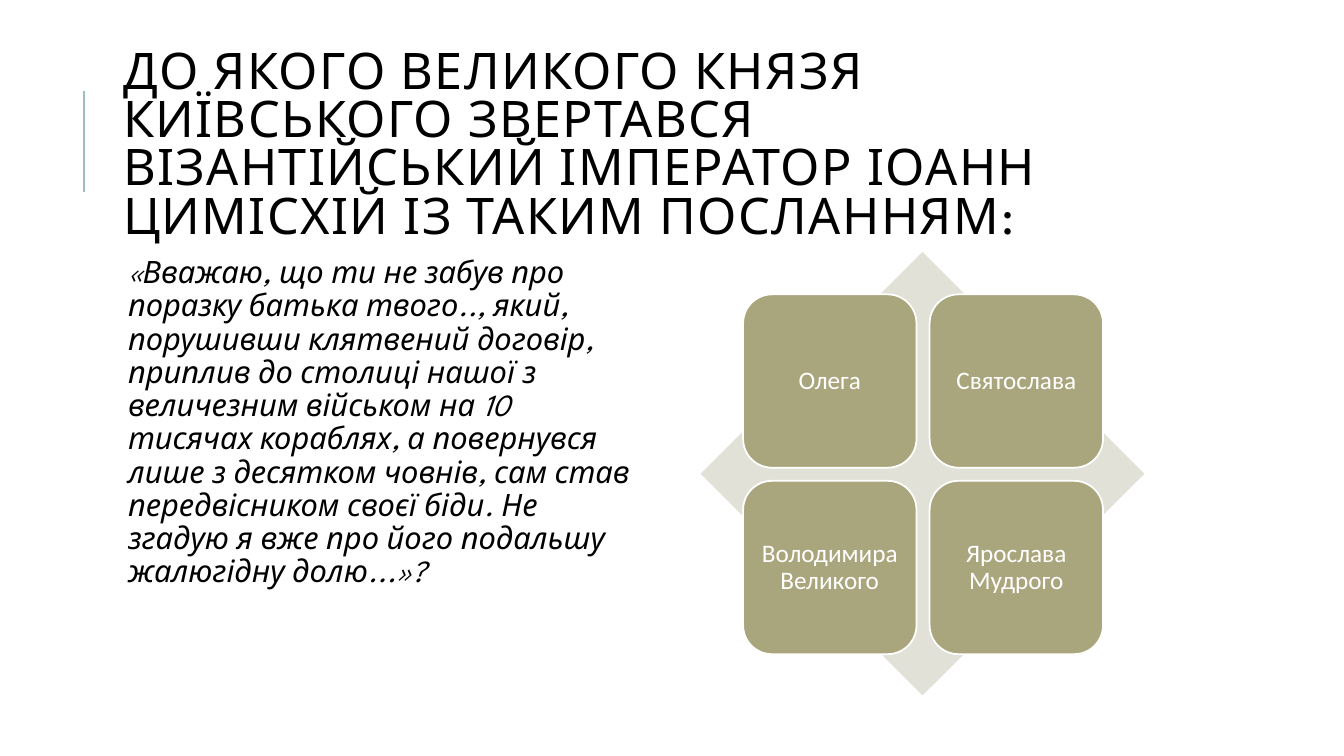
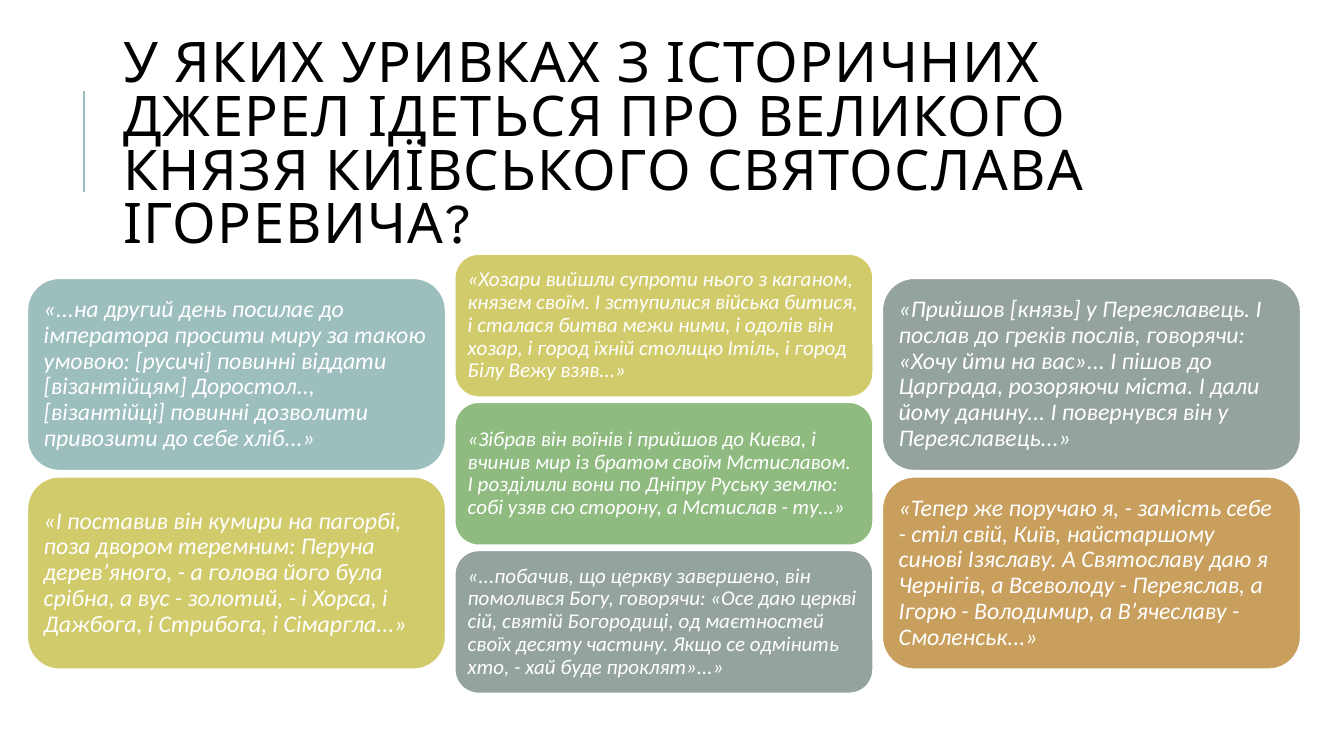
from pptx import Presentation
from pptx.dml.color import RGBColor
from pptx.enum.shapes import MSO_CONNECTOR, MSO_SHAPE as Form
from pptx.enum.text import MSO_ANCHOR as Anchor, MSO_AUTO_SIZE as Fit, PP_ALIGN as Align
from pptx.oxml.ns import qn
from pptx.util import Inches, Pt
from lxml.etree import SubElement

BLACK = RGBColor(0x00, 0x00, 0x00)
WHITE = RGBColor(0xFF, 0xFF, 0xFF)
TEAL = RGBColor(0x9C, 0xBE, 0xBD)
OLIVE = RGBColor(0xA9, 0xA5, 0x7C)
PALE = RGBColor(0xE2, 0xE1, 0xD7)
GRAY = RGBColor(0x95, 0xA3, 0x9D)
OCHRE = RGBColor(0xC8, 0x9F, 0x5D)
LIME = RGBColor(0xD2, 0xCB, 0x6C)
GREEN = RGBColor(0x8F, 0xBB, 0x80)

QUOTE = "«Вважаю, що ти не забув про поразку батька твого.., який, порушивши клятвений договір, приплив до столиці нашої з величезним військом на 10 тисячах кораблях, а повернувся лише з десятком човнів, сам став передвісником своєї біди. Не згадую я вже про його подальшу жалюгідну долю...»?"

NAMES = ["Олега", "Святослава", "Володимира Великого", "Ярослава Мудрого"]

SIDE = {"top": 2.76, "high": 1.91, "step": 1.97, "size": 17, "pad": 0.07}
MID = {"top": 2.52, "high": 1.42, "step": 1.47, "size": 15, "pad": 0.06}

COLUMNS = [
    (SIDE, [
        (TEAL, "«...на другий день посилає до імператора просити миру за такою умовою: [русичі] повинні віддати [візантійцям] Доростол.., [візантійці] повинні дозволити привозити до себе хліб...»"),
        (LIME, "«І поставив він кумири на пагорбі, поза двором теремним: Перуна дерев’яного, - а голова його була срібна, а вус - золотий, - і Хорса, і Дажбога, і Стрибога, і Сімаргла...»"),
    ]),
    (MID, [
        (LIME, "«Хозари вийшли супроти нього з каганом, князем своїм. І зступилися війська битися, і сталася битва межи ними, і одолів він хозар, і город їхній столицю Ітіль, і город Білу Вежу взяв...»"),
        (GREEN, "«Зібрав він воїнів і прийшов до Києва, і вчинив мир із братом своїм Мстиславом. І розділили вони по Дніпру Руську землю: собі узяв сю сторону, а Мстислав - ту...»"),
        (GRAY, "«...побачив, що церкву завершено, він помолився Богу, говорячи: «Осе даю церкві сій, святій Богородиці, од маєтностей своїх десяту частину. Якщо се одмінить хто, - хай буде проклят»...»"),
    ]),
    (SIDE, [
        (GRAY, "«Прийшов [князь] у Переяславець. І послав до греків послів, говорячи: «Хочу йти на вас»... І пішов до Царграда, розоряючи міста. І дали йому данину... І повернувся він у Переяславець...»"),
        (OCHRE, "«Тепер же поручаю я, - замість себе - стіл свій, Київ, найстаршому синові Ізяславу. А Святославу даю я Чернігів, а Всеволоду - Переяслав, а Ігорю - Володимир, а В’ячеславу - Смоленськ...»"),
    ]),
]


class Deck:
    head = "League Spartan"
    text = "Calibri"

    def __init__(self):
        self.prs = Presentation()
        self.prs.slide_width = Inches(13.33)
        self.prs.slide_height = Inches(7.5)
        self.slide = None

    def label(self, frame, words, font, size, color, italic=False,
              align=Align.LEFT, lead=0.9, pad=None, anchor=Anchor.MIDDLE):
        frame.word_wrap = True
        frame.auto_size = Fit.NONE
        frame.vertical_anchor = anchor
        if pad is not None:
            frame.margin_left = frame.margin_right = Inches(pad)
            frame.margin_top = frame.margin_bottom = Inches(pad)
        para = frame.paragraphs[0]
        para.alignment = align
        para.line_spacing = lead
        para.space_before = Pt(0)
        run = para.add_run()
        run.text = words
        run.font.name = font
        run.font.size = Pt(size)
        run.font.italic = italic
        run.font.color.rgb = color
        return run

    def page(self, title, size):
        self.slide = self.prs.slides.add_slide(self.prs.slide_layouts[5])
        self.rule()
        box = self.slide.shapes.title
        box.left, box.top = Inches(1.12), Inches(0.64)
        box.width, box.height = Inches(10.63), Inches(1.64)
        run = self.label(box.text_frame, title, self.head, size, BLACK, lead=0.8)
        run.font._element.set("spc", "100")

    def rule(self):
        line = self.slide.shapes.add_connector(
            MSO_CONNECTOR.STRAIGHT, Inches(0.83), Inches(1.9), Inches(0.83), Inches(0.9))
        line.line.color.rgb = TEAL
        line.line.width = Pt(1.5)
        SubElement(line._element.spPr, qn("a:effectLst"))

    def body(self, words, left, top, wide, high):
        box = self.slide.shapes.add_textbox(
            Inches(left), Inches(top), Inches(wide), Inches(high))
        self.label(box.text_frame, words, self.head, 22, BLACK, italic=True,
                   pad=0.05, anchor=Anchor.TOP)
        box.text_frame.margin_left = Inches(0.15)

    def shape(self, form, fill, left, top, wide, high):
        item = self.slide.shapes.add_shape(
            form, Inches(left), Inches(top), Inches(wide), Inches(high))
        item.shadow.inherit = False
        item.fill.solid()
        item.fill.fore_color.rgb = fill
        item.line.fill.background()
        return item

    def card(self, words, fill, left, top, wide, high, size,
             pad=0.07, italic=False, align=Align.LEFT):
        item = self.shape(Form.ROUNDED_RECTANGLE, fill, left, top, wide, high)
        item.line.color.rgb = WHITE
        item.line.width = Pt(1.25)
        self.label(item.text_frame, words, self.text, size, WHITE,
                   italic=italic, align=align, pad=pad)


def main():
    deck = Deck()

    deck.page("ДО ЯКОГО ВЕЛИКОГО КНЯЗЯ КИЇВСЬКОГО ЗВЕРТАВСЯ ВІЗАНТІЙСЬКИЙ ІМПЕРАТОР ІОАНН ЦИМІСХІЙ ІЗ ТАКИМ ПОСЛАННЯМ:", 36)
    deck.body(QUOTE, 1.12, 2.5, 5.2, 4.4)
    deck.shape(Form.DIAMOND, PALE, 6.95, 2.5, 4.4, 4.4)
    for i, name in enumerate(NAMES):
        row, col = divmod(i, 2)
        deck.card(name, OLIVE, 7.37 + 1.85 * col, 2.92 + 1.85 * row,
                  1.72, 1.72, 18, align=Align.CENTER)

    deck.page("У ЯКИХ УРИВКАХ З ІСТОРИЧНИХ ДЖЕРЕЛ ІДЕТЬСЯ ПРО ВЕЛИКОГО КНЯЗЯ КИЇВСЬКОГО СВЯТОСЛАВА ІГОРЕВИЧА?", 40)
    for col, (kind, cards) in enumerate(COLUMNS):
        for row, (fill, words) in enumerate(cards):
            deck.card(words, fill, 0.27 + 4.24 * col, kind["top"] + kind["step"] * row,
                      4.15, kind["high"], kind["size"], kind["pad"], italic=True)

    deck.prs.save("out.pptx")


if __name__ == "__main__":
    main()
